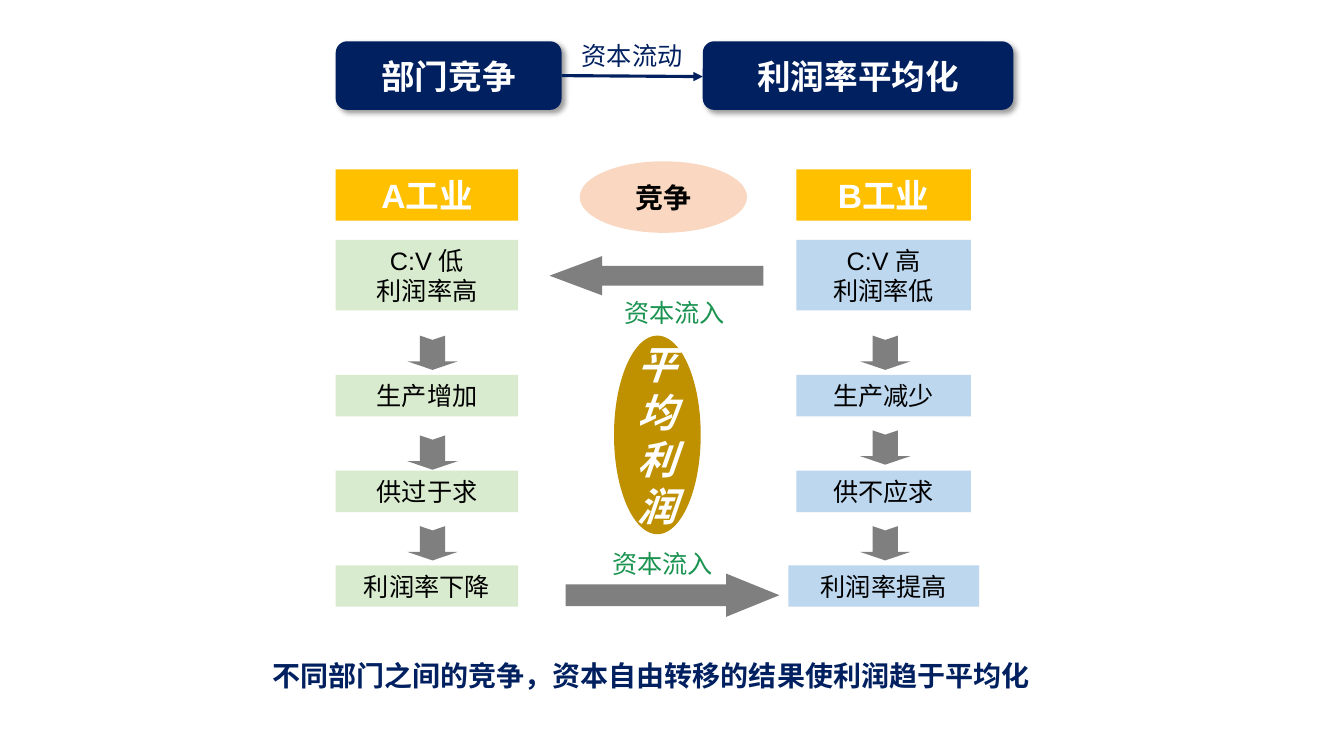
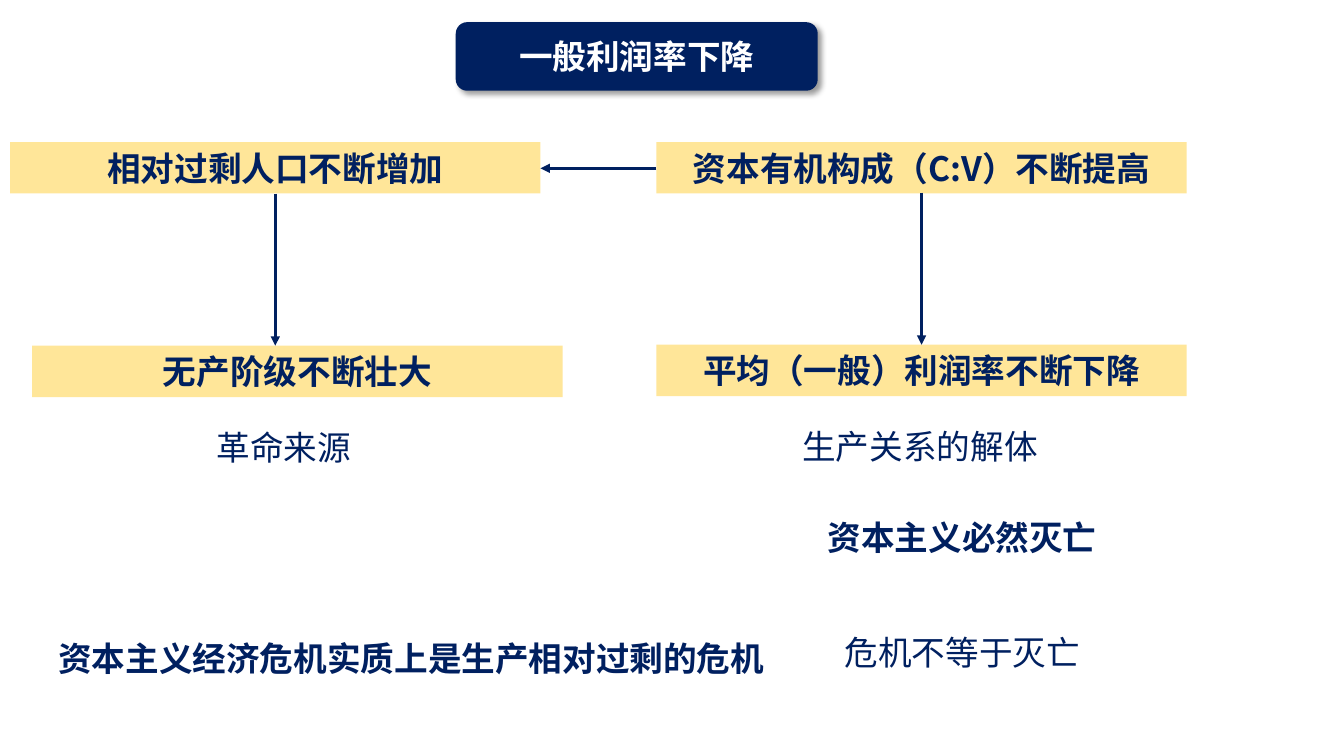
"""Build two slides on competition, average profit and the falling rate of profit."""
from dataclasses import dataclass

from lxml import etree
from pptx import Presentation
from pptx.dml.color import RGBColor
from pptx.enum import shapes, text
from pptx.oxml import ns, parse_xml
from pptx.util import Inches, Pt


@dataclass(frozen=True)
class Theme:
    navy: str = "002060"
    white: str = "FFFFFF"
    black: str = "000000"
    gold: str = "FFC000"
    dark_gold: str = "BF9000"
    pale_gold: str = "FFE699"
    green: str = "C5E0B4"
    blue: str = "BDD7EE"
    peach: str = "F4B183"
    gray: str = "7F7F7F"
    flow: str = "1B9451"
    latin: str = "Arial"
    cjk: str = "Noto Sans CJK SC"
    heading: int = 24
    accent: int = 28
    note: int = 20
    body: int = 18


T = Theme()
MSO = shapes.MSO_SHAPE
CENTER, LEFT = text.PP_ALIGN.CENTER, text.PP_ALIGN.LEFT
SHADOW = (
    f'<a:effectLst {ns.nsdecls("a")}><a:outerShdw blurRad="50800" dist="38100" dir="2700000" '
    'algn="tl" rotWithShape="0"><a:srgbClr val="000000"><a:alpha val="40000"/></a:srgbClr>'
    '</a:outerShdw></a:effectLst>'
)


def add_box(s, kind, at, fill=None, words="", size=T.body, color=T.black, bold=False,
            italic=False, font=T.latin, align=CENTER, alpha=100, shadow=False):
    frame = [Inches(v) for v in at]
    sp = s.shapes.add_shape(kind, *frame) if kind else s.shapes.add_textbox(*frame)
    if kind:
        sp.shadow.inherit = False
        sp.line.fill.background()
        sp.fill.solid()
        sp.fill.fore_color.rgb = RGBColor.from_string(fill)
    if alpha < 100:
        rgb = sp._element.spPr.find(ns.qn("a:solidFill"))[0]
        etree.SubElement(rgb, ns.qn("a:alpha")).set("val", str(alpha * 1000))
    if shadow:
        effects = sp._element.spPr.find(ns.qn("a:effectLst"))
        effects.getparent().replace(effects, parse_xml(SHADOW))
    if words:
        tf = sp.text_frame
        tf.word_wrap = True
        tf.vertical_anchor = text.MSO_ANCHOR.MIDDLE
        tf.text = words
        p = tf.paragraphs[0]
        p.alignment = align
        for r in p.runs:
            r.font.name = font
            r.font.size = Pt(size)
            r.font.bold = bold
            r.font.italic = italic
            r.font.color.rgb = RGBColor.from_string(color)
            etree.SubElement(r.font._element, ns.qn("a:ea")).set("typeface", T.cjk)
    return sp


def add_arrow(s, x1, y1, x2, y2):
    c = s.shapes.add_connector(shapes.MSO_CONNECTOR.STRAIGHT, *map(Inches, (x1, y1, x2, y2)))
    c.line.color.rgb = RGBColor.from_string(T.navy)
    c.line.width = Pt(2.25)
    etree.SubElement(c.line._get_or_add_ln(), ns.qn("a:tailEnd")).set("type", "triangle")
    etree.SubElement(c._element.spPr, ns.qn("a:effectLst"))


banner = dict(fill=T.navy, size=T.heading, color=T.white, bold=True, font=T.cjk, shadow=True)
navy_text = dict(color=T.navy, font=T.cjk, align=LEFT)

prs = Presentation()
prs.slide_width, prs.slide_height = Inches(13.33), Inches(7.5)
blank = prs.slide_layouts[6]

s = prs.slides.add_slide(blank)
add_box(s, MSO.ROUNDED_RECTANGLE, (3.33, 0.41, 2.24, 0.68), words="部门竞争", **banner)
add_arrow(s, 5.57, 0.75, 6.97, 0.76)
add_box(s, None, (5.67, 0.35, 1.21, 0.4), words="资本流动", **navy_text)
add_box(s, MSO.ROUNDED_RECTANGLE, (6.97, 0.41, 3.08, 0.68), words="利润率平均化", **banner)

row_tops = (2.38, 3.72, 4.67, 5.61)
industries = [
    ("A工业", 3.33, 1.81, T.green, 64, 4.12, (3.25, 4.24, 5.14),
     ("C:V 低\v利润率高", "生产增加", "供过于求", "利润率下降")),
    ("B工业", 7.9, 1.73, T.blue, 100, 8.61, (3.25, 4.19, 5.14),
     ("C:V 高\v利润率低", "生产减少", "供不应求", "利润率提高")),
]
for name, x, w, fill, alpha, arrow_x, arrow_tops, steps in industries:
    add_box(s, MSO.RECTANGLE, (x, 1.68, w, 0.51), T.gold, name, T.heading, T.white, bold=True)
    for y, step in zip(row_tops, steps):
        h = 0.7 if "\v" in step else 0.41
        extra = 0.08 if step == "利润率提高" else 0
        add_box(s, MSO.RECTANGLE, (x - extra, y, w + 2 * extra, h), fill, step, alpha=alpha)
    for y in arrow_tops:
        sp = add_box(s, MSO.NOTCHED_RIGHT_ARROW, (arrow_x, y, 0.34, 0.5), T.gray)
        sp.rotation = 90
        sp.adjustments[1] = 0.25

flows = [
    (MSO.LEFT_ARROW, (5.45, 2.54, 2.12, 0.39), 1.34, (5.65, 2.9, 2.08, 0.4)),
    (MSO.RIGHT_ARROW, (5.61, 5.69, 2.12, 0.43), 1.23, (5.53, 5.39, 2.08, 0.4)),
]
for kind, arrow_at, head, label_at in flows:
    add_box(s, kind, arrow_at, T.gray).adjustments[1] = head
    add_box(s, None, label_at, words="资本流入", color=T.flow)

add_box(s, MSO.OVAL, (5.75, 1.6, 1.66, 0.71), T.peach, "竞争", T.note, bold=True, alpha=50)
add_box(s, MSO.OVAL, (6.09, 3.33, 0.86, 1.97), T.dark_gold, "平均利润", T.accent, T.white,
        bold=True, italic=True)
add_box(s, None, (2.6, 6.48, 8.35, 0.44), size=T.note, bold=True,
        words="不同部门之间的竞争，资本自由转移的结果使利润趋于平均化", **navy_text)

s = prs.slides.add_slide(blank)
add_box(s, MSO.ROUNDED_RECTANGLE, (4.52, 0.22, 3.59, 0.68), words="一般利润率下降", **banner)
for x, y, words in [
    (6.51, 1.41, "资本有机构成（C:V）不断提高"),
    (0.1, 1.41, "相对过剩人口不断增加"),
    (6.51, 3.42, "平均（一般）利润率不断下降"),
    (0.32, 3.43, "无产阶级不断壮大"),
]:
    add_box(s, MSO.RECTANGLE, (x, y, 5.26, 0.51), T.pale_gold, words, T.heading, T.navy,
            bold=True, font=T.cjk)
for ends in [(6.51, 1.67, 5.36, 1.67), (9.14, 1.91, 9.14, 3.42), (2.73, 1.92, 2.73, 3.43)]:
    add_arrow(s, *ends)
for at, words, bold in [
    ((2.05, 4.19, 1.55, 0.5), "革命来源", False),
    ((7.86, 4.18, 2.56, 0.5), "生产关系的解体", False),
    ((8.11, 5.08, 2.89, 0.5), "资本主义必然灭亡", True),
    ((8.28, 6.22, 2.56, 0.5), "危机不等于灭亡", False),
    ((0.48, 6.2, 8.89, 0.66), "资本主义经济危机实质上是生产相对过剩的危机", True),
]:
    add_box(s, None, at, words=words, size=T.heading, bold=bold, **navy_text)

prs.save("out.pptx")
